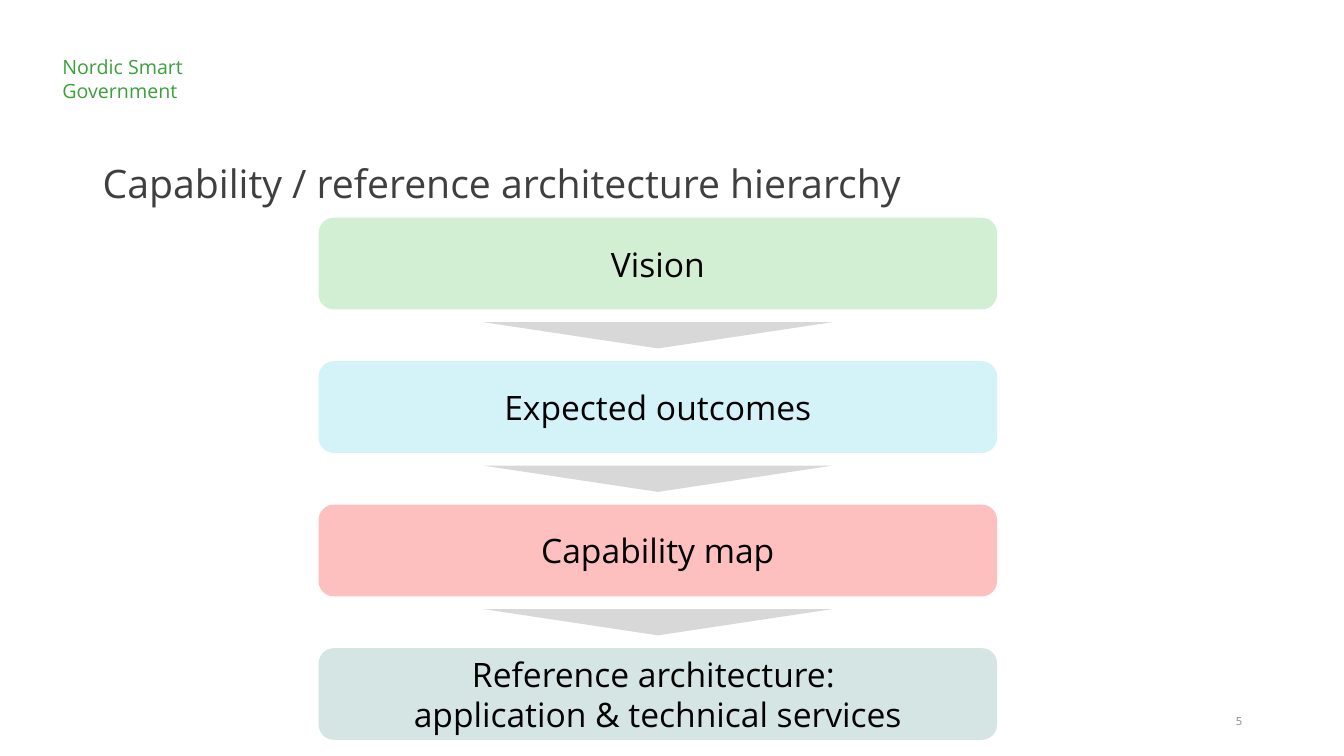
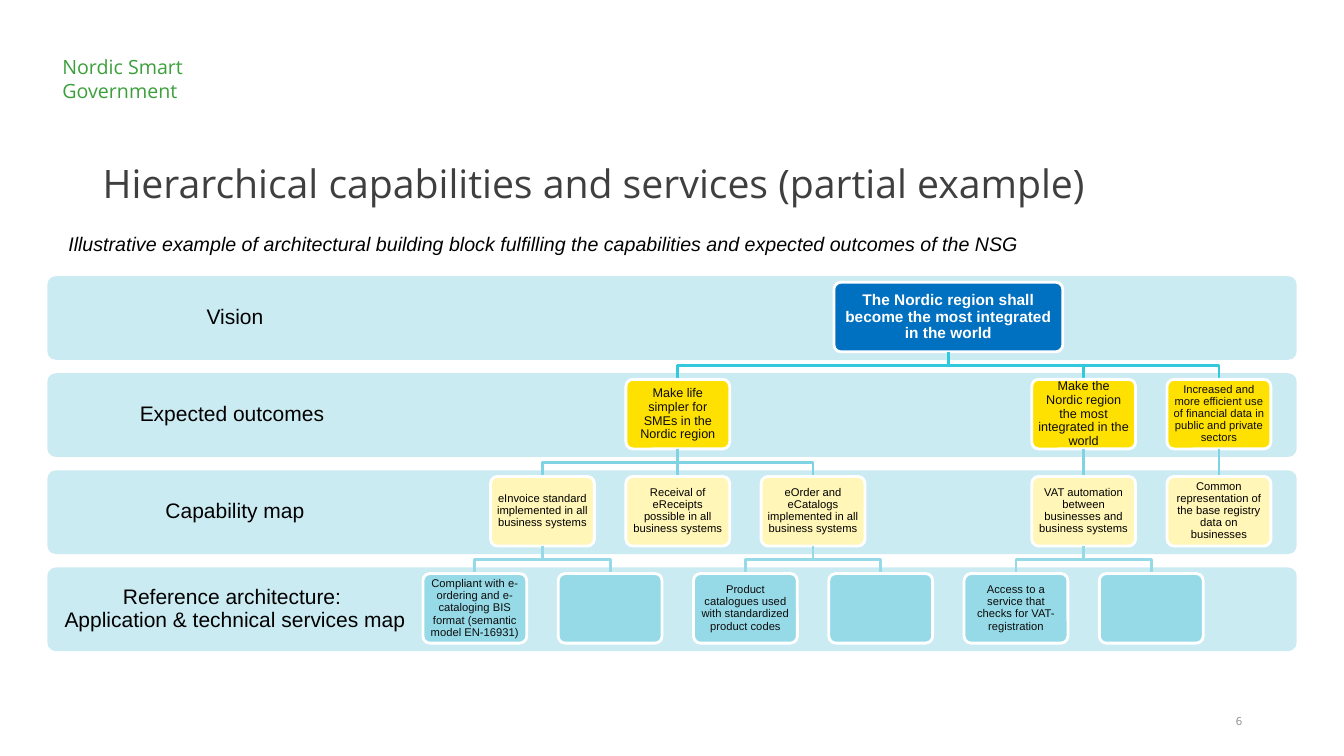
from pptx import Presentation
from pptx.dml.color import RGBColor
from pptx.enum.shapes import MSO_CONNECTOR, MSO_SHAPE
from pptx.enum.text import MSO_ANCHOR, PP_ALIGN
from pptx.oxml.ns import qn
from pptx.util import Inches, Pt
from lxml import etree

ROUND, TRIANGLE = MSO_SHAPE.ROUNDED_RECTANGLE, MSO_SHAPE.ISOSCELES_TRIANGLE
LEFT, CENTER, RIGHT = PP_ALIGN.LEFT, PP_ALIGN.CENTER, PP_ALIGN.RIGHT
TOP, MIDDLE, BOTTOM = MSO_ANCHOR.TOP, MSO_ANCHOR.MIDDLE, MSO_ANCHOR.BOTTOM
OPEN, ARIAL = "Open Sans", "Arial"

COLORS = {
    "brand": "3BA03B", "title": "3F3F3F", "number": "888888",
    "black": "000000", "ink": "0C0C0C", "white": "FFFFFF",
    "green": "D3EFD3", "cyan": "D3F3F8", "red": "FEBFBF", "teal": "D4E5E3",
    "arrow": "D8D8D8", "band": "CBEBF2", "blue": "0070C0",
    "yellow": "FFE101", "cream": "FFF6B7", "aqua": "97DAE7",
    "link1": "33C8DB", "link2": "7FD3E3",
}

BRAND = "Nordic Smart\vGovernment"
STEPS = [
    ("Vision", "green"),
    ("Expected outcomes", "cyan"),
    ("Capability map", "red"),
    ("Reference architecture: \vapplication & technical services", "teal"),
]
SUBTITLE = ("Illustrative example of architectural building block fulfilling "
            "the capabilities and expected outcomes of the NSG")
BANDS = ["Vision", "Expected outcomes ", "Capability map",
         "Reference architecture: \vApplication & technical services map"]
LEVELS = [
    dict(width=2.27, fill="blue", color="white", size=11, inset=0.05, link=None),
    dict(width=1.03, fill="yellow", color="ink", size=9, inset=0.04, link="link1"),
    dict(width=1.03, fill="cream", color="black", size=8, inset=0.03, link="link2"),
    dict(width=1.03, fill="aqua", color="ink", size=8, inset=0.03, link="aqua"),
]
SMALL = {"Increased and more efficient use of financial data in public and private sectors": 8}
TREE = (7, "The Nordic region shall become the most integrated in the world", [
    (3, "Make life simpler for SMEs in the Nordic region", [
        (1, "eInvoice standard implemented in all business systems", [
            (0, "Compliant with e-ordering and e-cataloging BIS format (semantic model EN-16931)", []),
            (2, "", []),
        ]),
        (3, "Receival of eReceipts possible in all business systems", []),
        (5, "eOrder and eCatalogs implemented in all business systems", [
            (4, "Product catalogues used with standardized product codes", []),
            (6, "", []),
        ]),
    ]),
    (9, "Make the Nordic region the most integrated in the world", [
        (9, "VAT automation between businesses and business systems", [
            (8, "Access to a service that checks for VAT-registration", []),
            (10, "", []),
        ]),
    ]),
    (11, "Increased and more efficient use of financial data in public and private sectors", [
        (11, "Common representation of the base registry data on businesses", []),
    ]),
])

BAND_TOP, BAND_H, BAND_PITCH = 2.74, 0.83, 2.89 / 3
NODE_H, NODE_GAP = 0.69, 0.06
COL_X, COL_STEP = 4.71, 7.38 / 11


def rgb(name):
    return RGBColor.from_string(COLORS[name])


def write(sp, text, size, color, font=OPEN, align=LEFT, anchor=TOP,
          inset=(0.1, 0.05), spacing=None, bold=False, italic=False):
    tf = sp.text_frame
    tf.word_wrap = True
    tf.vertical_anchor = anchor
    tf.margin_left = tf.margin_right = Inches(inset[0])
    tf.margin_top = tf.margin_bottom = Inches(inset[1])
    p = tf.paragraphs[0]
    p.text = text
    p.alignment = align
    p.line_spacing = spacing
    p.font.name, p.font.size, p.font.color.rgb = font, Pt(size), rgb(color)
    p.font.bold, p.font.italic = bold, italic


def textbox(s, box, text, size, color, **style):
    write(s.shapes.add_textbox(*map(Inches, box)), text, size, color, **style)


def shape(s, kind, box, fill, adj, line=None):
    sp = s.shapes.add_shape(kind, *map(Inches, box))
    sp.shadow.inherit = False
    sp.adjustments[0] = adj
    sp.fill.solid()
    sp.fill.fore_color.rgb = rgb(fill)
    if line:
        sp.line.color.rgb, sp.line.width = rgb(line), Pt(2)
    else:
        sp.line.fill.background()
    return sp


def new_slide(prs, title, number):
    s = prs.slides.add_slide(prs.slide_layouts[6])
    textbox(s, (0.52, 0.5, 1.5, 0.57), BRAND, 14, "brand")
    textbox(s, (0.92, 1.26, 11.5, 0.84), title, 28, "title", anchor=BOTTOM)
    textbox(s, (9.42, 6.95, 3, 0.4), str(number), 8, "number", align=RIGHT, anchor=MIDDLE)
    return s


def steps_slide(prs):
    s = new_slide(prs, "Capability / reference architecture hierarchy", 5)
    left, top, width, height, pitch = 3.16, 2.16, 6.73, 0.91, 4.27 / 3
    arrow_w, arrow_h = 3.45, 0.26
    for i, (text, fill) in enumerate(STEPS):
        y = top + i * pitch
        sp = shape(s, ROUND, (left, y, width, height), fill, 0.167)
        write(sp, text, 24, "black", align=CENTER, anchor=MIDDLE)
        if i < len(STEPS) - 1:
            arrow_y = y + height + (pitch - height - arrow_h) / 2
            arrow_x = left + (width - arrow_w) / 2
            arrow = shape(s, TRIANGLE, (arrow_x, arrow_y, arrow_w, arrow_h), "arrow", 0.5)
            arrow.rotation = 180


def link(s, x1, y1, x2, y2, color):
    x1, y1, x2, y2 = map(Inches, (x1, y1, x2, y2))
    if x1 == x2:
        sp = s.shapes.add_connector(MSO_CONNECTOR.STRAIGHT, x1, y1, x2, y2)
        etree.SubElement(sp.element.spPr, qn("a:effectLst"))
    else:
        mid = (y1 + y2) // 2
        path = s.shapes.build_freeform(x1, y1)
        path.add_line_segments([(x1, mid), (x2, mid), (x2, y2)], close=False)
        sp = path.convert_to_shape()
        sp.shadow.inherit = False
        sp.fill.background()
    sp.line.color.rgb, sp.line.width = rgb(color), Pt(2)


def draw_tree(s, node, depth=0, parent_x=None):
    col, text, children = node
    level = LEVELS[depth]
    x = COL_X + col * COL_STEP
    y = BAND_TOP + depth * BAND_PITCH + NODE_GAP
    if depth:
        link(s, parent_x, y - BAND_PITCH + NODE_H, x, y, level["link"])
    box = (x - level["width"] / 2, y, level["width"], NODE_H)
    sp = shape(s, ROUND, box, level["fill"], 0.1, "white")
    if text:
        write(sp, text, SMALL.get(text, level["size"]), level["color"], font=ARIAL,
              align=CENTER, anchor=MIDDLE, inset=(level["inset"],) * 2,
              spacing=0.9, bold=depth == 0)
    for child in children:
        draw_tree(s, child, depth + 1, x)


def tree_slide(prs):
    s = new_slide(prs, "Hierarchical capabilities and services (partial example)", 6)
    left, width, label_w = 0.47, 12.39, 3.72
    for i, text in enumerate(BANDS):
        y = BAND_TOP + i * BAND_PITCH
        shape(s, ROUND, (left, y, width, BAND_H), "band", 0.1)
        textbox(s, (left, y, label_w, BAND_H), text, 15, "black", font=ARIAL,
                align=CENTER, anchor=MIDDLE, inset=(0.12, 0.12), spacing=0.9)
    draw_tree(s, TREE)
    textbox(s, (0.58, 2.25, 10.47, 0.34), SUBTITLE, 14, "black", font=ARIAL, italic=True)


def main():
    prs = Presentation()
    prs.slide_width, prs.slide_height = Inches(13.33), Inches(7.5)
    steps_slide(prs)
    tree_slide(prs)
    prs.save("out.pptx")


if __name__ == "__main__":
    main()
